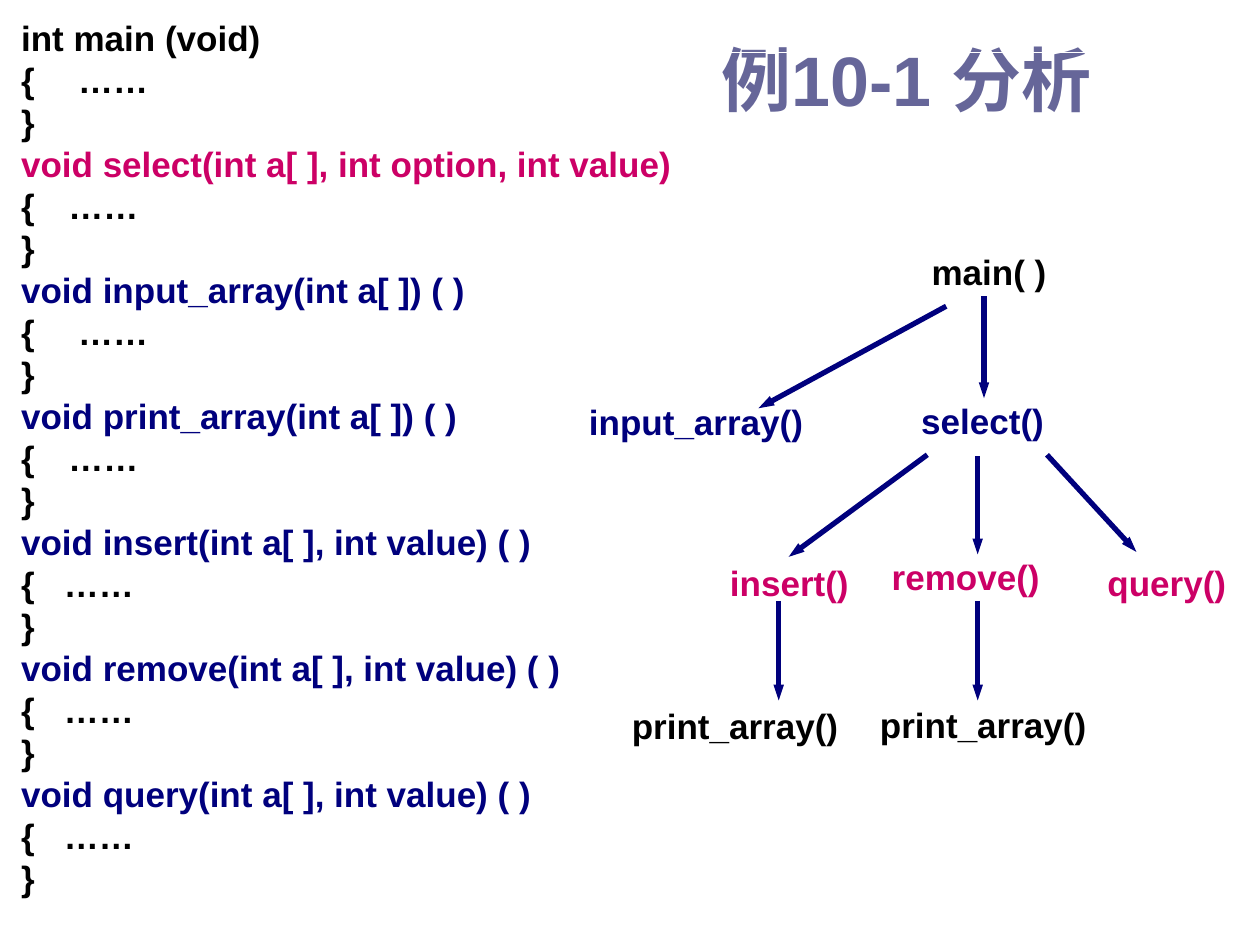
from lxml.etree import SubElement
from pptx import Presentation
from pptx.dml.color import RGBColor
from pptx.enum.shapes import MSO_CONNECTOR
from pptx.enum.text import MSO_ANCHOR, PP_ALIGN
from pptx.oxml.ns import qn
from pptx.util import Pt

COLORS = {"title": "666699", "black": "000000", "pink": "CC0066",
          "navy": "00007D", "white": "FFFFFF"}

FUNCTIONS = [
    ("int main (void)", "black", "{\t ……"),
    ("void select(int a[ ], int option, int value)", "pink", "{\t……"),
    ("void input_array(int a[ ]) ( )", "navy", "{\t ……"),
    ("void print_array(int a[ ]) ( )", "navy", "{\t……"),
    ("void insert(int a[ ], int value) ( )", "navy", "{   ……"),
    ("void remove(int a[ ], int value) ( )", "navy", "{   ……"),
    ("void query(int a[ ], int value) ( )", "navy", "{   ……"),
]

CALLS = [
    ("query()", "pink", (622, 317.5, 89.5, 33)),
    ("main( )", "black", (499.7, 139.7, 131, 58.3)),
    ("select()", "navy", (496, 224.6, 131, 58.3)),
    ("insert()", "pink", (399.6, 317.5, 103, 38.2)),
    ("remove()", "pink", (495.4, 313.9, 113, 42.5)),
    ("input_array()", "navy", (292.3, 225.4, 211, 58.3)),
    ("print_array()", "black", (349.2, 398.9, 141.8, 35.3)),
    ("print_array()", "black", (491, 398.2, 141.8, 35.3)),
]

ARROWS = [
    (562.3, 169.2, 562.3, 227.5),
    (540.7, 175, 433.4, 233.3),
    (529.9, 259.9, 450.7, 318.2),
    (558.7, 260.6, 558.7, 316.8),
    (598.3, 259.9, 649.4, 315.4),
    (558.7, 343.4, 558.7, 400.3),
    (445, 343.4, 445, 400.3),
]

TITLE_RULES = [(401.8, 30.2, 396, 66.2), (401.8, 30.2, 624.2, 30.2)]


def add_text(s, box, lines, size=20, align=PP_ALIGN.CENTER,
             anchor=MSO_ANCHOR.TOP, spacing=None, hang=0):
    """Add a text box with one bold paragraph per (text, colour) line."""
    tf = s.shapes.add_textbox(*map(Pt, box)).text_frame
    tf.word_wrap = True
    tf.vertical_anchor = anchor
    for i, (text, color) in enumerate(lines):
        p = tf.add_paragraph() if i else tf.paragraphs[0]
        p.alignment = align
        if spacing:
            p.line_spacing = Pt(spacing)
        if hang:
            pPr = p._p.get_or_add_pPr()
            pPr.set("marL", str(Pt(hang)))
            pPr.set("indent", str(-Pt(hang)))
        r = p.add_run()
        r.text = text
        r.font.name = "Arial"
        r.font.size = Pt(size)
        r.font.bold = True
        r.font.color.rgb = RGBColor.from_string(COLORS[color])


def add_line(s, ends, color, width, arrow=False):
    """Add a straight line, with an arrowhead at its end if asked."""
    c = s.shapes.add_connector(MSO_CONNECTOR.STRAIGHT, *map(Pt, ends))
    c.line.color.rgb = RGBColor.from_string(COLORS[color])
    c.line.width = Pt(width)
    if arrow:
        SubElement(c.line._get_or_add_ln(), qn("a:tailEnd"),
                   type="triangle", w="sm", len="med")
    SubElement(c._element.spPr, qn("a:effectLst"))


def add_code(s):
    """Add the listing of function outlines."""
    lines = []
    for head, color, body in FUNCTIONS:
        lines += [(head, color), (body, "black"), ("}", "black")]
    add_text(s, (5, 5.8, 399, 509), lines, align=PP_ALIGN.JUSTIFY,
             spacing=24, hang=27)


def add_call_tree(s):
    """Add the function names and the arrows between them."""
    for name, color, box in CALLS:
        add_text(s, box, [(name, color)])
    for ends in ARROWS:
        add_line(s, ends, "navy", 3, arrow=True)


def main():
    """Build the slide and save it."""
    prs = Presentation()
    prs.slide_width, prs.slide_height = Pt(720), Pt(540)
    s = prs.slides.add_slide(prs.slide_layouts[6])
    add_text(s, (405.4, 15.1, 238.3, 59.8), [("例10-1 分析", "title")],
             size=40, align=PP_ALIGN.LEFT, anchor=MSO_ANCHOR.MIDDLE)
    add_code(s)
    for ends in TITLE_RULES:
        add_line(s, ends, "white", 0.75)
    add_call_tree(s)
    prs.save("out.pptx")


if __name__ == "__main__":
    main()
